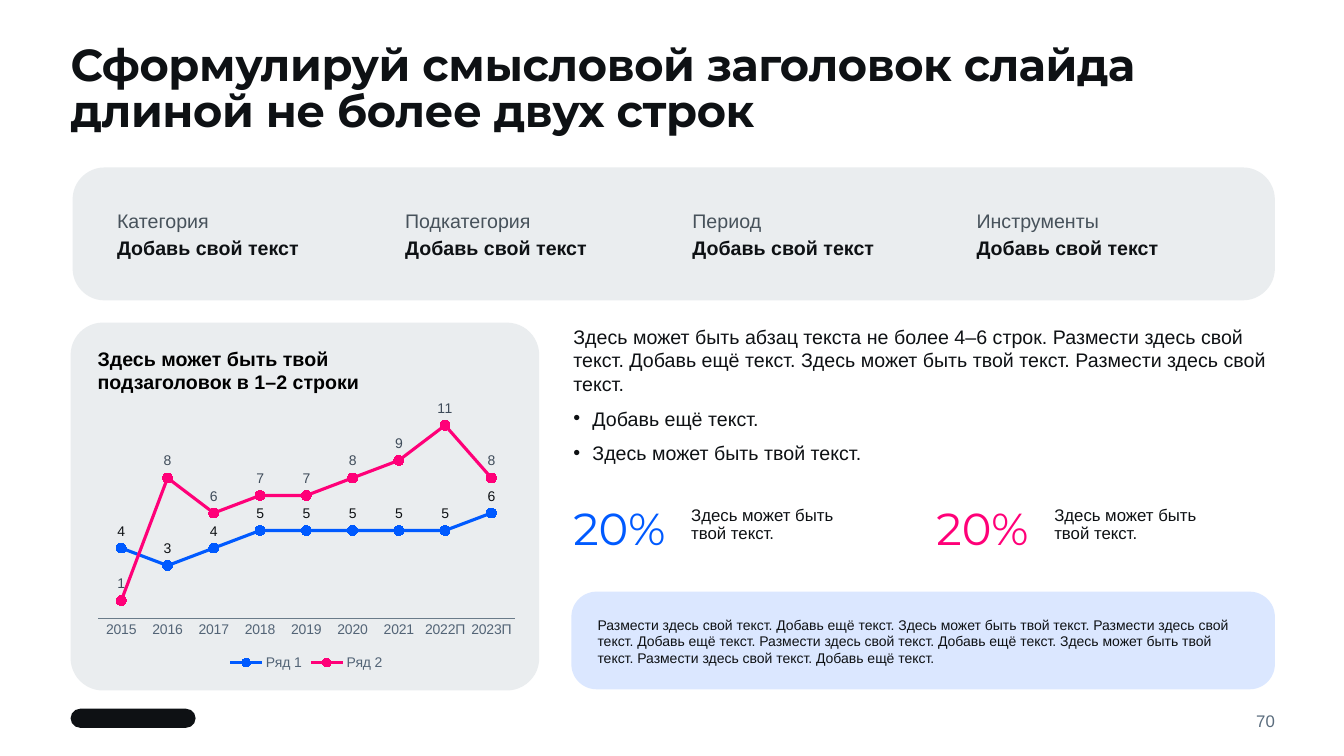
from lxml import etree
from pptx import Presentation
from pptx.chart.data import CategoryChartData
from pptx.dml.color import RGBColor
from pptx.enum.chart import XL_CHART_TYPE, XL_LABEL_POSITION, XL_LEGEND_POSITION, XL_MARKER_STYLE, XL_TICK_MARK
from pptx.enum.shapes import MSO_SHAPE
from pptx.enum.text import MSO_ANCHOR, MSO_AUTO_SIZE, PP_ALIGN
from pptx.oxml import parse_xml
from pptx.oxml.ns import nsdecls, qn
from pptx.util import Cm, Pt

LINE_CHART = XL_CHART_TYPE.LINE_MARKERS
ABOVE = XL_LABEL_POSITION.ABOVE
LEGEND_BOTTOM = XL_LEGEND_POSITION.BOTTOM
CIRCLE = XL_MARKER_STYLE.CIRCLE
NO_TICK = XL_TICK_MARK.NONE
ROUNDED = MSO_SHAPE.ROUNDED_RECTANGLE
TOP, MIDDLE = MSO_ANCHOR.TOP, MSO_ANCHOR.MIDDLE
NO_FIT = MSO_AUTO_SIZE.NONE
LEFT, RIGHT = PP_ALIGN.LEFT, PP_ALIGN.RIGHT

COLORS = {
    "ink": "0E1114", "black": "000000", "label": "47525B", "page": "5A6C7D",
    "card": "EAEDEF", "note": "CCDEFF", "blue": "005AFF", "pink": "FF0078",
    "axis_text": "536476", "axis_line": "6A7B89", "pink_label": "3F4C5A",
}

# Content
TITLE = "Сформулируй смысловой заголовок слайда длиной не более двух строк"
FACTS = [
    ("Категория", "Добавь свой текст", 2.95),
    ("Подкатегория", "Добавь свой текст", 10.21),
    ("Период", "Добавь свой текст", 17.45),
    ("Инструменты", "Добавь свой текст", 24.61),
]
CHART_TITLE = "Здесь может быть твой подзаголовок в 1–2 строки"
YEARS = ["2015", "2016", "2017", "2018", "2019", "2020", "2021", "2022П", "2023П"]
SERIES = [
    ("Ряд 1", (4, 3, 4, 5, 5, 5, 5, 5, 6), "blue", "ink"),
    ("Ряд 2", (1, 8, 6, 7, 7, 8, 9, 11, 8), "pink", "pink_label"),
]
INTRO = ("Здесь может быть абзац текста не более 4–6 строк. Размести здесь свой текст. "
         "Добавь ещё текст. Здесь может быть твой текст. Размести здесь свой текст.")
BULLETS = ["Добавь ещё текст.", "Здесь может быть твой текст."]
METRICS = [
    ("20%", "Здесь может быть твой текст.", "blue", 14.45),
    ("20%", "Здесь может быть твой текст.", "pink", 23.6),
]
NOTE = ("Размести здесь свой текст. Добавь ещё текст. Здесь может быть твой текст. "
        "Размести здесь свой текст. Добавь ещё текст. Размести здесь свой текст. "
        "Добавь ещё текст. Здесь может быть твой текст. Размести здесь свой текст. "
        "Добавь ещё текст.")
PAGE_NUMBER = "70"


def rgb(color):
    return RGBColor.from_string(COLORS[color])


def place(shape, left, top, width, height):
    shape.left, shape.top = Cm(left), Cm(top)
    shape.width, shape.height = Cm(width), Cm(height)


def prepare(frame, anchor=TOP):
    frame.margin_left = frame.margin_right = frame.margin_top = frame.margin_bottom = 0
    frame.word_wrap = True
    frame.auto_size = NO_FIT
    frame.vertical_anchor = anchor


def style_font(font, size, color, bold=False, name="Arial"):
    font.name, font.size, font.bold = name, Pt(size), bold
    font.color.rgb = rgb(color)


def write(paragraph, text, size, color, bold=False, name="Arial",
          align=LEFT, spacing=None, after=0):
    paragraph.alignment = align
    paragraph.space_before, paragraph.space_after = Pt(0), Pt(after)
    if spacing:
        paragraph.line_spacing = spacing
    run = paragraph.add_run()
    run.text = text
    style_font(run.font, size, color, bold, name)
    return run


def add_text(box, text, size, color, anchor=TOP, **style):
    frame = slide.shapes.add_textbox(*map(Cm, box)).text_frame
    prepare(frame, anchor)
    write(frame.paragraphs[0], text, size, color, **style)
    return frame


def add_panel(box, radius, color):
    panel = slide.shapes.add_shape(ROUNDED, *map(Cm, box))
    panel.adjustments[0] = radius
    panel.shadow.inherit = False
    panel.fill.solid()
    panel.fill.fore_color.rgb = rgb(color)
    panel.line.fill.background()
    return panel


def set_bullet(paragraph, indent, mark=None):
    properties = paragraph._p.get_or_add_pPr()
    properties.set("marL", str(Cm(indent)))
    properties.set("indent", str(-Cm(indent)))
    bullet = etree.SubElement(properties, qn("a:buChar" if mark else "a:buNone"))
    if mark:
        bullet.set("char", mark)


prs = Presentation()
prs.slide_width, prs.slide_height = Cm(33.87), Cm(19.05)
slide = prs.slides.add_slide(prs.slide_layouts[1])

# Panels and the plain mark in the footer
add_panel((1.78, 8.13, 11.81, 9.27), 0.088, "card")
note_panel = add_panel((14.4, 14.91, 17.73, 2.46), 0.258, "note")
note_color = note_panel.fill._xPr.find(".//" + qn("a:srgbClr"))
etree.SubElement(note_color, qn("a:alpha")).set("val", "70000")
add_panel((1.83, 4.22, 30.3, 3.35), 0.241, "card")
add_panel((1.78, 17.86, 3.15, 0.48), 0.5, "ink")

# Title
title = slide.shapes.title
place(title, 1.78, 1.14, 30.3, 1.9)
prepare(title.text_frame)
title_run = write(title.text_frame.paragraphs[0], TITLE, 32, "ink", True, "Montserrat", spacing=0.85)
title_run._r.get_or_add_rPr().set("spc", "-30")

# Body with bullets
body = slide.placeholders[1]
place(body, 14.45, 8.18, 17.68, 3.76)
prepare(body.text_frame)
intro = body.text_frame.paragraphs[0]
set_bullet(intro, 0)
write(intro, INTRO, 14, "ink", after=8)
for item in BULLETS:
    point = body.text_frame.add_paragraph()
    point.level = 1
    set_bullet(point, 0.48, "•")
    write(point, item, 14, "ink", after=8)

# Facts in the upper band
for label, value, left in FACTS:
    add_text((left, 5.21, 4.85, 0.66), label, 14, "label", spacing=Pt(18.5))
    add_text((left, 5.92, 4.85, 0.58), value, 14, "ink", bold=True, spacing=Pt(17.6))

# Line chart
add_text((2.46, 8.74, 7.62, 1.19), CHART_TITLE, 14, "black", bold=True)
chart_data = CategoryChartData(number_format="0")
chart_data.categories = YEARS
for name, values, *_ in SERIES:
    chart_data.add_series(name, values)
chart = slide.shapes.add_chart(LINE_CHART, Cm(2.46), Cm(9.53), Cm(10.52), Cm(7.47), chart_data).chart
chart.has_title = False
style_font(chart.font, 10, "ink")
chart.has_legend = True
chart.legend.position = LEGEND_BOTTOM
chart.legend.include_in_layout = False
style_font(chart.legend.font, 10, "axis_text")

years_axis = chart.category_axis
years_axis.major_tick_mark = years_axis.minor_tick_mark = NO_TICK
years_axis.format.line.color.rgb = rgb("axis_line")
years_axis.format.line.width = Pt(0.75)
style_font(years_axis.tick_labels.font, 10, "axis_text")
values_axis = chart.value_axis
values_axis.minimum_scale, values_axis.maximum_scale = 0, 12
values_axis.has_major_gridlines = False
values_axis.visible = False

chart.plots[0].vary_by_categories = False
for series, (_, _, color, label_color) in zip(chart.plots[0].series, SERIES):
    series.smooth = False
    series.format.line.color.rgb = rgb(color)
    series.format.line.width = Pt(2.25)
    series.marker.style, series.marker.size = CIRCLE, 7
    series.marker.format.fill.solid()
    series.marker.format.fill.fore_color.rgb = rgb(color)
    series.marker.format.line.color.rgb = rgb(color)
    labels = series.data_labels
    labels.show_value, labels.position = True, ABOVE
    labels.number_format, labels.number_format_is_linked = "0", False
    style_font(labels.font, 10, label_color)

plot_area = chart._chartSpace.chart.plotArea
for layout in plot_area.findall(qn("c:layout")):
    plot_area.remove(layout)
plot_area.insert(0, parse_xml(
    f'<c:layout {nsdecls("c")}><c:manualLayout><c:layoutTarget val="inner"/>'
    '<c:xMode val="edge"/><c:yMode val="edge"/><c:x val="0"/><c:y val="0.1"/>'
    '<c:w val="1"/><c:h val="0.71"/></c:manualLayout></c:layout>'))

# Metrics
for figure, caption, color, left in METRICS:
    add_text((left, 12.62, 2.74, 1.6), figure, 32, color, name="Montserrat")
    add_text((left + 2.97, 12.78, 4.19, 0.91), caption, 12, "ink", spacing=0.9)

# Note and page number
note = add_text((15.06, 14.94, 16.56, 2.44), NOTE, 10, "ink", MIDDLE)
note.margin_right = Cm(0.51)
add_text((29.62, 17.86, 2.51, 0.61), PAGE_NUMBER, 12, "page", MIDDLE, align=RIGHT)

prs.save("out.pptx")
